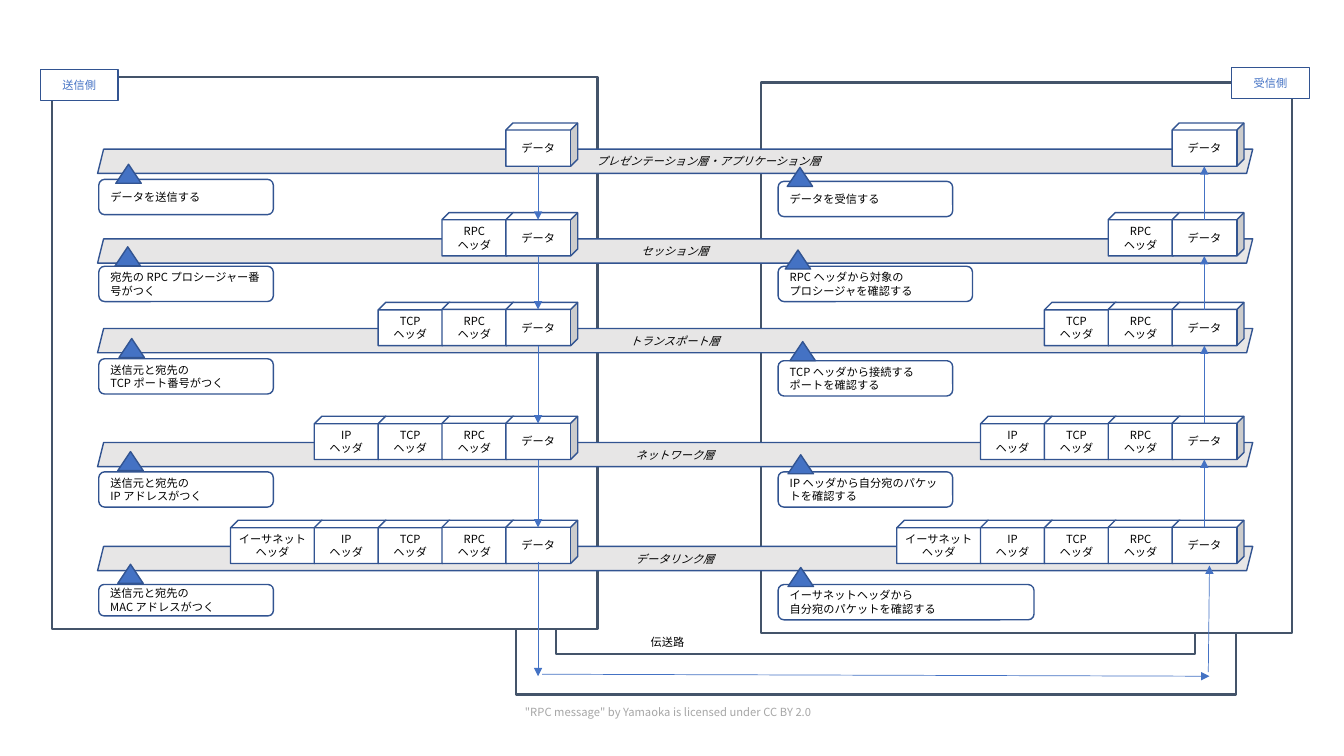
import collections
import itertools

import lxml.etree
import pptx
import pptx.dml.color
import pptx.enum.shapes
import pptx.enum.text
import pptx.oxml.ns
import pptx.util

Cm = pptx.util.Cm
Pt = pptx.util.Pt
RGBColor = pptx.dml.color.RGBColor
SHAPE = pptx.enum.shapes.MSO_SHAPE
ALIGN = pptx.enum.text.PP_ALIGN
qn = pptx.oxml.ns.qn

WHITE = RGBColor(0xFF, 0xFF, 0xFF)
BLACK = RGBColor(0, 0, 0)
SLATE = RGBColor(0x44, 0x54, 0x6A)
NAVY = RGBColor(0x32, 0x54, 0x91)
BLUE = RGBColor(0x44, 0x72, 0xC4)
LIGHT_GREY = RGBColor(0xE7, 0xE6, 0xE6)
CREDIT_GREY = RGBColor(0xA6, 0xA6, 0xA6)
FONT = "Noto Sans CJK JP"

# All box lengths are centimetres
Box = collections.namedtuple("Box", "left top width height")
Layer = collections.namedtuple("Layer", "name offset indent")
Header = collections.namedtuple("Header", "lines pitch depth")
Note = collections.namedtuple("Note", "lines top width height marker_left marker_top")

LAYERS = [
    Layer("プレゼンテーション層・アプリケーション層", 0, 1.69),
    Layer("セッション層", 2.26, 0),
    Layer("トランスポート層", 4.52, 0),
    Layer("ネットワーク層", 7.39, 0),
    Layer("データリンク層", 10.01, 0),
]
# From the innermost block outwards; each layer adds one
HEADERS = [
    Header(["データ"], 1.61, 0.163),
    Header(["RPC", "ヘッダ"], 1.61, 0.163),
    Header(["TCP", "ヘッダ"], 1.61, 0.175),
    Header(["IP", "ヘッダ"], 1.61, 0.175),
    Header(["イーサネット", "ヘッダ"], 2.11, 0.175),
]
CUBE_HEIGHT, CUBE_OVERLAP, FRONT_TOP = 1.09, 0.2, 0.18

# Note and marker tops are measured from the top of the stack
SENDER_NOTES = [
    Note(["データを送信する"], 1.42, 4.4, 0.89, 0.43, 1.04),
    Note(["宛先の RPC プロシージャー番号がつく"], 3.61, 4.4, 0.89, 0.41, 3.12),
    Note(["送信元と宛先の", "TCP ポート番号がつく"], 5.94, 4.4, 0.89, 0.51, 5.43),
    Note(["送信元と宛先の", "IP アドレスがつく"], 8.79, 4.4, 0.89, 0.48, 8.28),
    Note(["送信元と宛先の", "MAC アドレスがつく"], 11.63, 4.4, 0.79, 0.48, 11.12),
]
RECEIVER_NOTES = [
    Note(["データを受信する"], 1.47, 4.4, 0.89, 0.23, 1.12),
    Note(["RPC ヘッダから対象の", "プロシージャを確認する"], 3.61, 4.9, 0.89, 0.18, 3.2),
    Note(["TCP ヘッダから接続する", "ポートを確認する"], 5.99, 4.4, 0.89, 0.3, 5.51),
    Note(["IP ヘッダから自分宛のパケットを確認する"], 8.79, 4.4, 0.89, 0.25, 8.36),
    Note(["イーサネットヘッダから", "自分宛のパケットを確認する"], 11.63, 6.45, 0.89, 0.25, 11.2),
]


def set_values(target, values):
    for name, value in values.items():
        setattr(target, name, value)


def write_text(shape, lines, color=BLACK, align=ALIGN.LEFT, italic=False, **frame_values):
    frame = shape.text_frame
    set_values(frame, {"word_wrap": True, **frame_values})
    frame.text = "\n".join(lines)
    for paragraph in frame.paragraphs:
        paragraph.alignment = align
        for run in paragraph.runs:
            set_values(run.font, {"name": FONT, "size": Pt(8), "italic": italic})
            run.font.color.rgb = color
            properties = run.font._element
            lxml.etree.SubElement(properties, qn("a:ea")).set("typeface", FONT)


def paint(shape, fill, line, width):
    shape.shadow.inherit = False
    shape.fill.solid()
    shape.fill.fore_color.rgb = fill
    shape.line.color.rgb = line
    shape.line.width = Pt(width)


def add_preset(slide, kind, box, fill=WHITE, line=NAVY, width=1):
    shape = slide.shapes.add_shape(kind, *map(Cm, box))
    paint(shape, fill, line, width)
    return shape


def add_arrow(slide, start, end):
    arrow = slide.shapes.add_connector(
        pptx.enum.shapes.MSO_CONNECTOR.STRAIGHT, *map(Cm, (*start, *end)))
    arrow.line.color.rgb = BLUE
    arrow.line.width = Pt(0.5)
    outline = arrow.line._get_or_add_ln()
    lxml.etree.SubElement(outline, qn("a:tailEnd")).set("type", "triangle")
    lxml.etree.SubElement(arrow._element.spPr, qn("a:effectLst"))


def add_label(slide, box, text, color=BLACK, wrap=True):
    label = slide.shapes.add_textbox(*map(Cm, box))
    write_text(label, [text], color, word_wrap=wrap,
               auto_size=pptx.enum.text.MSO_AUTO_SIZE.SHAPE_TO_FIT_TEXT)


def draw_channel(slide, box):
    """U-shaped transmission path under both hosts."""
    right, bottom = box.left + box.width, box.top + box.height
    inner_left, inner_right, inner_bottom = box.left + 1.02, right - 1.02, box.top + 0.63
    corners = [(box.left, box.top), (inner_left, box.top), (inner_left, inner_bottom),
               (inner_right, inner_bottom), (inner_right, box.top), (right, box.top),
               (right, bottom), (box.left, bottom)]
    points = [(Cm(x), Cm(y)) for x, y in corners]
    builder = slide.shapes.build_freeform(*points[0])
    builder.add_line_segments(points[1:], close=True)
    paint(builder.convert_to_shape(), WHITE, SLATE, 1.5)
    add_label(slide, Box(box.left + 3.15, box.top + 0.03, 2.44, 0.61), "伝送路")


def draw_host(slide, box, tag_left, tag_top, name):
    add_preset(slide, SHAPE.RECTANGLE, box, line=SLATE, width=1.5)
    tag = add_preset(slide, SHAPE.RECTANGLE,
                     Box(box.left + tag_left, box.top + tag_top, 1.96, 0.79))
    write_text(tag, [name], BLUE, ALIGN.CENTER)


def draw_bands(slide, box):
    """One shared band for each protocol layer."""
    for layer in LAYERS:
        band = add_preset(slide, SHAPE.PARALLELOGRAM,
                          Box(box.left, box.top + layer.offset, box.width, 0.61), LIGHT_GREY)
        write_text(band, [layer.name], align=ALIGN.CENTER, italic=True,
                   margin_left=Cm(0.25 + layer.indent))


def draw_packet(slide, right, top, headers):
    """Row of blocks ending at the given right edge, drawn from left to right."""
    left = right - CUBE_OVERLAP - sum(header.pitch for header in headers)
    for header in reversed(headers):
        cube = add_preset(slide, SHAPE.CUBE,
                          Box(left, top, header.pitch + CUBE_OVERLAP, CUBE_HEIGHT))
        cube.adjustments[0] = header.depth
        margin = Cm(0 if header is HEADERS[0] else 0.25)
        write_text(cube, header.lines, align=ALIGN.CENTER, word_wrap=False,
                   margin_left=margin, margin_right=margin)
        left += header.pitch


def draw_stack(slide, box, notes, downwards):
    """Notes, markers, packets and the arrows between the packets of one host."""
    for note in notes:
        shape = add_preset(slide, SHAPE.ROUNDED_RECTANGLE,
                           Box(box.left, box.top + note.top, note.width, note.height))
        write_text(shape, note.lines)
    for note in notes:
        add_preset(slide, SHAPE.ISOSCELES_TRIANGLE,
                   Box(box.left + note.marker_left, box.top + note.marker_top, 0.64, 0.48), BLUE)
    right = box.left + box.width
    for count, layer in enumerate(LAYERS, 1):
        draw_packet(slide, right, box.top + layer.offset, HEADERS[:count])
    arrow_x = right - 1
    for upper, lower in itertools.pairwise(LAYERS):
        ends = [(arrow_x, box.top + upper.offset + CUBE_HEIGHT),
                (arrow_x, box.top + lower.offset + FRONT_TOP)]
        add_arrow(slide, *(ends if downwards else reversed(ends)))


def draw_route(slide, box):
    """Arrows down into the channel, along it and up again."""
    right, bottom = box.left + box.width, box.top + box.height
    add_arrow(slide, (box.left, box.top), (box.left, bottom))
    add_arrow(slide, (box.left + 0.1, bottom - 0.05), (right, bottom))
    add_arrow(slide, (right - 0.03, bottom - 0.1), (right, box.top + 0.1))


def main():
    presentation = pptx.Presentation()
    set_values(presentation, {"slide_width": Cm(33.87), "slide_height": Cm(19.05)})
    slide = presentation.slides.add_slide(presentation.slide_layouts[6])

    draw_channel(slide, Box(13, 15.85, 18.14, 1.65))
    draw_host(slide, Box(1.32, 1.93, 13.74, 13.92), -0.3, -0.18, "送信側")
    draw_host(slide, Box(19.18, 2.08, 13.39, 13.87), 11.86, -0.38, "受信側")
    draw_bands(slide, Box(2.46, 3.76, 29.11, 0.61))
    draw_stack(slide, Box(2.49, 3.1, 12.07, 12.52), SENDER_NOTES, True)
    draw_stack(slide, Box(19.61, 3.1, 11.74, 12.52), RECEIVER_NOTES, False)
    draw_route(slide, Box(13.56, 14.15, 16.92, 2.89))
    add_label(slide, Box(12.98, 17.65, 8.08, 0.61),
              '"RPC message" by Yamaoka is licensed under CC BY 2.0', CREDIT_GREY, False)

    presentation.save("out.pptx")


if __name__ == "__main__":
    main()
